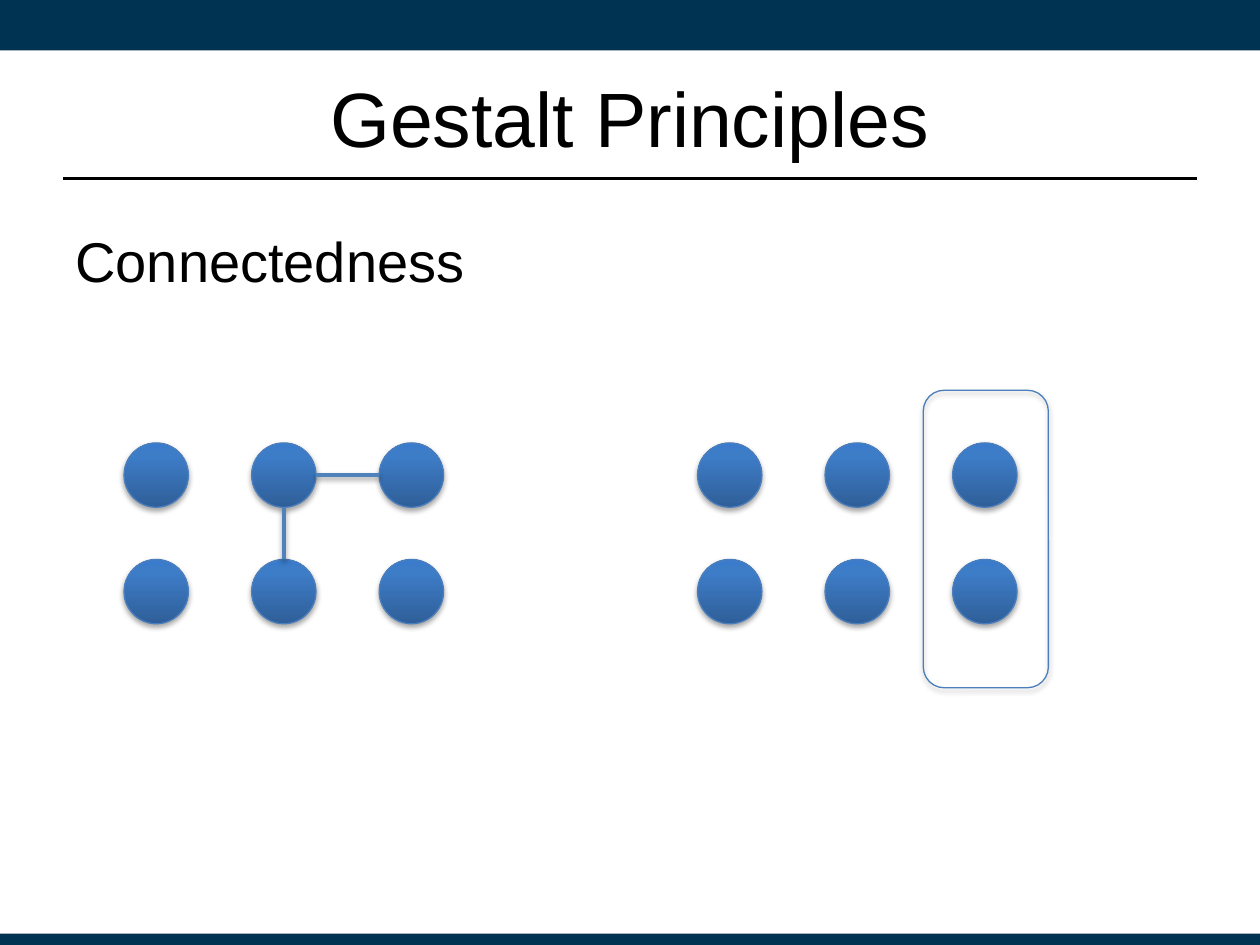
from lxml import etree
from pptx import Presentation
from pptx.dml.color import RGBColor
from pptx.enum import shapes, text
from pptx.oxml import parse_xml
from pptx.oxml.ns import nsdecls, qn
from pptx.util import Pt

TITLE = "Gestalt Principles"
PRINCIPLE = "Connectedness"

THEME = {
    "font": "Arial", "title": 44, "body": 32,
    "ink": "000000", "band": "003252", "outline": "4B7EBC", "link": "4F81BD",
    "dot_stops": [(0, "2F5F99"), (80, "3D7CC7"), (100, "3A7CCB")],
}

SLIDE_W, SLIDE_H = 720, 540
BANDS = [(0, 28.8), (533.5, 6.5)]  # top, height
RULE_Y, MARGIN = 102, 36

# Two grids of dots: linked by lines on the left, by an enclosure on the right
GRID_LEFTS = [70.9, 398.6]
GRID_TOP, COLUMNS, ROWS = 253.1, 3, 2
DOT, PITCH_X, PITCH_Y = 36.8, 72.9, 66.6
LINKS = [((1, 0), (2, 0)), ((1, 0), (1, 1))]  # (column, row) pairs
ENCLOSURE = (527.6, 223, 71.5, 170)


def color(name):
    return RGBColor.from_string(THEME[name])


def box(pts):
    return [Pt(value) for value in pts]


def add_shadow(shape, alpha, distance):
    properties = shape._element.spPr
    effects = properties.find(qn("a:effectLst"))
    if effects is None:
        effects = etree.SubElement(properties, qn("a:effectLst"))
    effects.append(parse_xml(
        f'<a:outerShdw {nsdecls("a")} blurRad="{Pt(3.1)}" dist="{Pt(distance)}" '
        'dir="5400000" rotWithShape="0"><a:srgbClr val="000000">'
        f'<a:alpha val="{alpha * 1000}"/></a:srgbClr></a:outerShdw>'))


def add_plain(slide, kind, bounds):
    shape = slide.shapes.add_shape(kind, *box(bounds))
    shape.shadow.inherit = False
    return shape


def add_outlined(slide, kind, bounds):
    shape = add_plain(slide, kind, bounds)
    shape.fill.background()
    shape.line.color.rgb = color("outline")
    shape.line.width = Pt(0.75)
    add_shadow(shape, 35, 1.8)
    return shape


def add_line(slide, start, end, ink, width):
    line = slide.shapes.add_connector(
        shapes.MSO_CONNECTOR.STRAIGHT, *box(start + end))
    line.line.color.rgb = color(ink)
    line.line.width = Pt(width)
    etree.SubElement(line._element.spPr, qn("a:effectLst"))
    return line


def set_text(shape, words, size, align, anchor):
    frame = shape.text_frame
    frame.word_wrap = True
    frame.vertical_anchor = anchor
    frame.text = words
    paragraph = frame.paragraphs[0]
    paragraph.alignment = align
    font = paragraph.runs[0].font
    font.name, font.size = THEME["font"], Pt(THEME[size])
    font.color.rgb = color("ink")
    return paragraph


def dot_corner(left, column, row):
    return left + column * PITCH_X, GRID_TOP + row * PITCH_Y


def add_dot(slide, corner):
    dot = add_outlined(slide, shapes.MSO_SHAPE.OVAL, corner + (DOT, DOT))
    stops = "".join(f'<a:gs pos="{pos * 1000}"><a:srgbClr val="{rgb}"/></a:gs>'
                    for pos, rgb in THEME["dot_stops"])
    properties = dot._element.spPr
    properties.replace(properties.find(qn("a:noFill")), parse_xml(
        f'<a:gradFill {nsdecls("a")} rotWithShape="1"><a:gsLst>{stops}</a:gsLst>'
        '<a:lin ang="16200000" scaled="0"/></a:gradFill>'))


def add_link(slide, left, first, second):
    """Join the facing edges of two neighbouring dots."""
    x1, y1 = dot_corner(left, *first)
    x2, y2 = dot_corner(left, *second)
    half = DOT / 2
    if first[1] == second[1]:
        start, end = (x1 + DOT, y1 + half), (x2, y2 + half)
    else:
        start, end = (x1 + half, y1 + DOT), (x2 + half, y2)
    add_shadow(add_line(slide, start, end, "link", 2), 38, 1.6)


def main():
    deck = Presentation()
    deck.slide_width, deck.slide_height = Pt(SLIDE_W), Pt(SLIDE_H)
    slide = deck.slides.add_slide(deck.slide_layouts[5])

    for top, height in BANDS:
        band = add_plain(slide, shapes.MSO_SHAPE.RECTANGLE,
                         (0, top, SLIDE_W, height))
        band.fill.solid()
        band.fill.fore_color.rgb = color("band")
        band.line.fill.background()
    add_line(slide, (MARGIN, RULE_Y), (SLIDE_W - MARGIN, RULE_Y), "ink", 1.25)

    title = slide.shapes.title
    title.left, title.top, title.width, title.height = box(
        (MARGIN, 21.6, SLIDE_W - 2 * MARGIN, 90))
    set_text(title, TITLE, "title", text.PP_ALIGN.CENTER, text.MSO_ANCHOR.MIDDLE)

    principle = slide.shapes.add_textbox(
        *box((MARGIN, 126, SLIDE_W - 2 * MARGIN, 356.4)))
    set_text(principle, PRINCIPLE, "body", text.PP_ALIGN.LEFT,
             text.MSO_ANCHOR.TOP).space_before = Pt(3.2)

    for left in GRID_LEFTS:
        for row in range(ROWS):
            for column in range(COLUMNS):
                add_dot(slide, dot_corner(left, column, row))
    for first, second in LINKS:
        add_link(slide, GRID_LEFTS[0], first, second)
    add_outlined(slide, shapes.MSO_SHAPE.ROUNDED_RECTANGLE, ENCLOSURE)

    deck.save("out.pptx")


if __name__ == "__main__":
    main()
